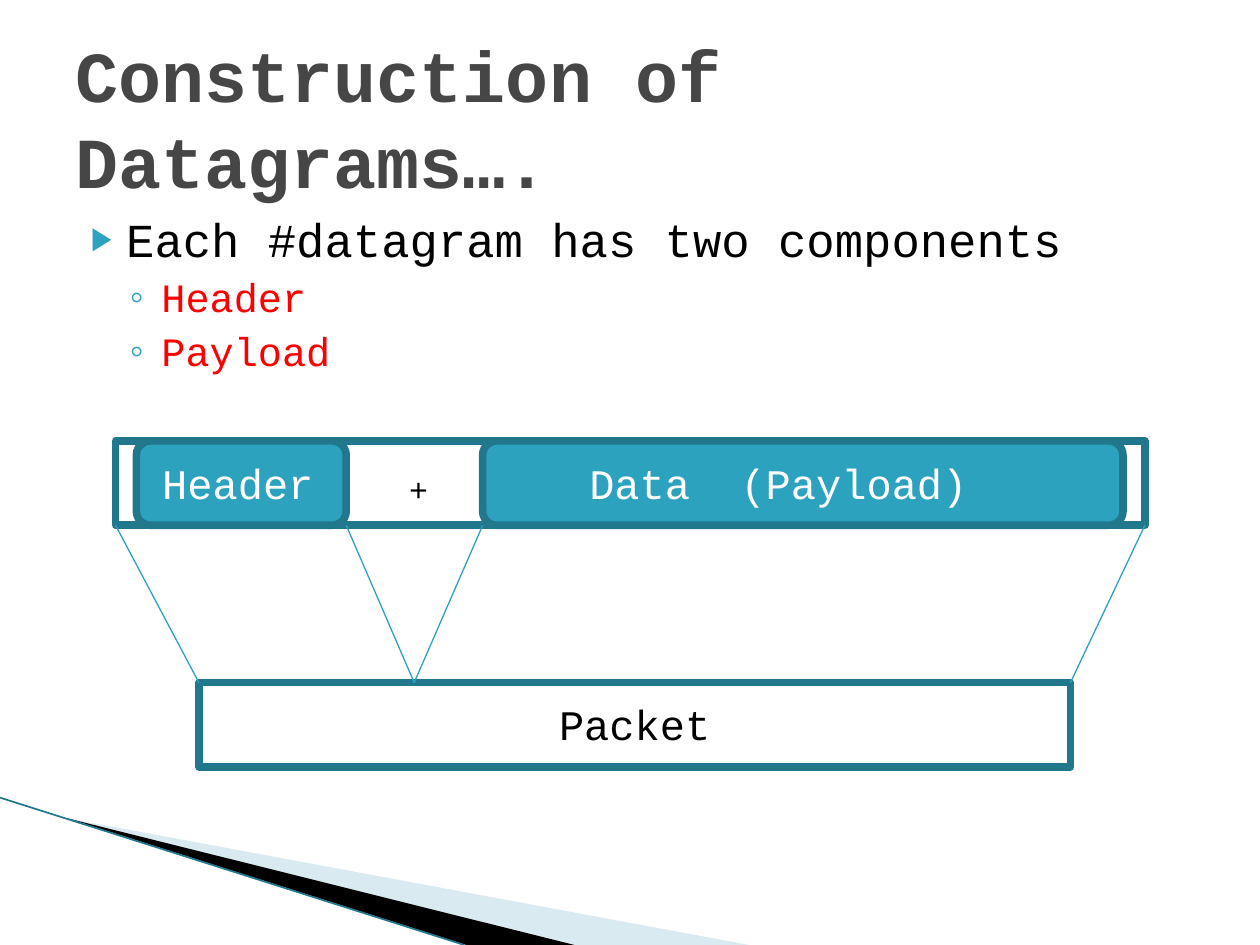
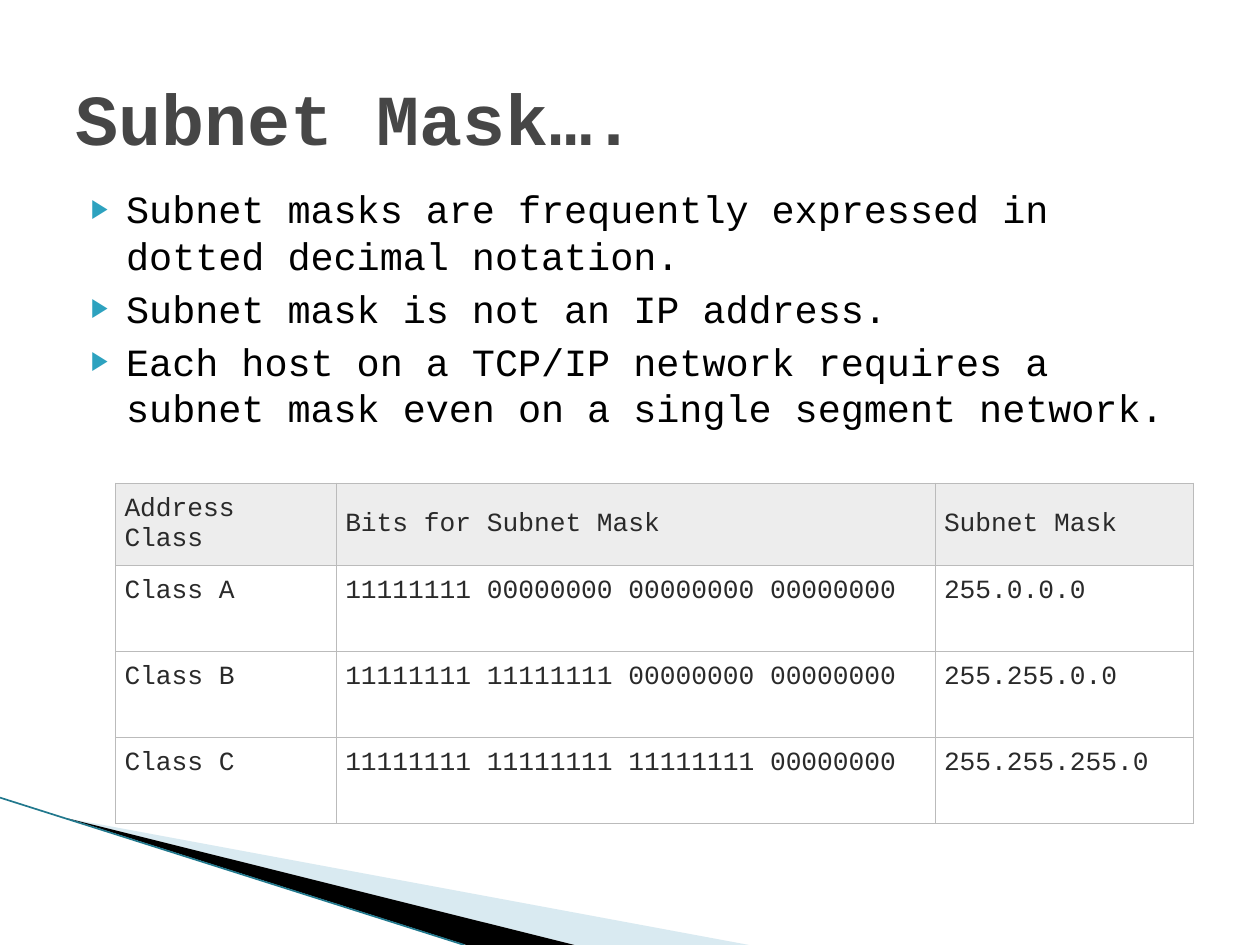
from pptx import Presentation
from pptx.dml.color import RGBColor
from pptx.enum.shapes import MSO_CONNECTOR, MSO_SHAPE
from pptx.enum.text import MSO_ANCHOR, MSO_AUTO_SIZE, PP_ALIGN
from pptx.oxml.ns import qn
from pptx.util import Cm, Pt
from lxml import etree

RECT, ROUND = MSO_SHAPE.RECTANGLE, MSO_SHAPE.ROUNDED_RECTANGLE
STRAIGHT = MSO_CONNECTOR.STRAIGHT
TOP, MIDDLE = MSO_ANCHOR.TOP, MSO_ANCHOR.MIDDLE
LEFT = PP_ALIGN.LEFT
NO_FIT = MSO_AUTO_SIZE.NONE

FONT = "Courier New"
ACCENT, EDGE, PALE = "2DA2BF", "21788D", "A0CBDC"
BLACK, WHITE, RED = "000000", "FFFFFF", "FF0000"
TITLE_GREY, CELL_TEXT, HEAD_FILL, GRID = "464646", "2A2A2A", "EDEDED", "BBBBBB"

SLIDE_W, SLIDE_H = 25.4, 19.05
TITLE_BOX = (1.27, 0.76, 22.86, 3.18)

# Bullet per level: symbol, size %, left margin, hanging indent (cm), space before (pt)
BULLETS = [("▶", 68, 1.02, -0.71, 4), ("◦", 100, 1.73, -0.64, 3.2)]


def rgb(value):
    return RGBColor.from_string(value)


def add_xml(parent, tag, **attrs):
    return etree.SubElement(parent, qn(tag), attrs)


def place(sp, box):
    sp.left, sp.top, sp.width, sp.height = map(Cm, box)


def style_text(p, size, color, bold=False):
    p.alignment = LEFT
    for r in p.runs:
        r.font.name, r.font.size, r.font.bold = FONT, Pt(size), bold
        r.font.color.rgb = rgb(color)


def add_line(slide, start, end, color, width=0.75):
    sp = slide.shapes.add_connector(STRAIGHT, *map(Cm, start + end))
    sp.line.color.rgb = rgb(color)
    sp.line.width = Pt(width)
    add_xml(sp._element.spPr, "a:effectLst")


def add_block(slide, shape, box, fill=None):
    sp = slide.shapes.add_shape(shape, *map(Cm, box))
    sp.shadow.inherit = False
    if fill:
        sp.fill.solid()
        sp.fill.fore_color.rgb = rgb(fill)
    else:
        sp.fill.background()
    sp.line.color.rgb = rgb(EDGE)
    sp.line.width = Pt(4.33)


def add_label(slide, box, text, size, color):
    tf = slide.shapes.add_textbox(*map(Cm, box)).text_frame
    tf.word_wrap = True
    tf.text = text
    style_text(tf.paragraphs[0], size, color)


def add_wedge(slide, points, color, alpha=None):
    points = [(Cm(x), Cm(y)) for x, y in points]
    builder = slide.shapes.build_freeform(*points[0])
    builder.add_line_segments(points[1:])
    sp = builder.convert_to_shape()
    sp.shadow.inherit = False
    sp.fill.solid()
    sp.fill.fore_color.rgb = rgb(color)
    sp.line.fill.background()
    if alpha:
        clr = sp._element.spPr.find(qn("a:solidFill"))[0]
        add_xml(clr, "a:alpha", val=str(alpha * 1000))


def corner_band(slide):
    """Wedges running from the left edge to the foot of the slide."""
    tip = (1.37, 16.5)
    add_wedge(slide, [tip, (15.1, SLIDE_H), (11.58, SLIDE_H)], PALE, 40)
    add_wedge(slide, [tip, (11.58, SLIDE_H), (9.4, SLIDE_H)], BLACK)
    add_line(slide, (0, 16.08), (9.36, SLIDE_H), EDGE, 0.95)


def set_title(slide, text):
    sp = slide.shapes.title
    place(sp, TITLE_BOX)
    tf = sp.text_frame
    tf.text = text
    tf.auto_size, tf.vertical_anchor = NO_FIT, MIDDLE
    style_text(tf.paragraphs[0], 41, TITLE_GREY, bold=True)


def set_bullet(p, level):
    symbol, size, margin, indent, before = BULLETS[level]
    p.level = level
    p.space_before = Pt(before)
    pPr = p._p.get_or_add_pPr()
    pPr.set("marL", str(Cm(margin)))
    pPr.set("indent", str(Cm(indent)))
    add_xml(add_xml(pPr, "a:buClr"), "a:srgbClr", val=ACCENT)
    add_xml(pPr, "a:buSzPct", val=str(size * 1000))
    add_xml(pPr, "a:buChar", char=symbol)


def set_body(slide, box, items):
    """items: (level, text, size, colour)"""
    sp = slide.placeholders[1]
    place(sp, box)
    tf = sp.text_frame
    tf.auto_size, tf.vertical_anchor = NO_FIT, TOP
    for i, (level, text, size, color) in enumerate(items):
        p = tf.add_paragraph() if i else tf.paragraphs[0]
        p.text = text
        style_text(p, size, color)
        set_bullet(p, level)


def new_slide(prs, title, body_box, items):
    slide = prs.slides.add_slide(prs.slide_layouts[1])
    corner_band(slide)
    set_title(slide, title)
    set_body(slide, body_box, items)
    return slide


def datagram_diagram(slide, x, y, w, h):
    bar_h = 1.7
    foot = y + bar_h
    packet_y = y + h - bar_h
    packet_x, packet_w = x + 1.68, 17.57
    header_x, header_w = x + 0.42, 4.23
    data_x, data_w = x + 7.4, 12.91

    # Frames
    add_block(slide, RECT, (x, y, w, bar_h))
    add_block(slide, ROUND, (header_x, y, header_w, bar_h), ACCENT)
    add_block(slide, ROUND, (data_x, y, data_w, bar_h), ACCENT)
    add_block(slide, RECT, (packet_x, packet_y, packet_w, bar_h))

    # Labels
    add_label(slide, (x + 0.69, y + 0.2, 3.96, 1.27), "Header", 24, WHITE)
    add_label(slide, (x + 5.67, y + 0.46, 1.1, 1.02), "+", 18, BLACK)
    add_label(slide, (x + 9.3, y + 0.2, 9.53, 1.27), "Data  (Payload)", 24, WHITE)
    add_label(slide, (x + 8.69, packet_y + 0.2, 5.49, 1.27), "Packet", 24, BLACK)

    # Lines from the parts down to the packet
    split = x + 6.02
    for upper, lower in [(x, packet_x), (header_x + header_w, split),
                         (data_x, split), (x + w, packet_x + packet_w)]:
        add_line(slide, (upper, foot), (lower, packet_y), ACCENT)


def set_borders(cell):
    tcPr = cell._tc.get_or_add_tcPr()
    for i, side in enumerate(("a:lnL", "a:lnR", "a:lnT", "a:lnB")):
        ln = add_xml(tcPr, side, w=str(Pt(0.75)))
        add_xml(add_xml(ln, "a:solidFill"), "a:srgbClr", val=GRID)
        tcPr.insert(i, ln)


def mask_table(slide, x, y, col_widths, row_heights, rows):
    frame = slide.shapes.add_table(len(rows), len(col_widths), Cm(x), Cm(y),
                                   Cm(sum(col_widths)), Cm(sum(row_heights)))
    table = frame.table
    table.first_row = table.horz_banding = False
    for col, width in zip(table.columns, col_widths):
        col.width = Cm(width)
    for r, (values, height) in enumerate(zip(rows, row_heights)):
        table.rows[r].height = Cm(height)
        for c, value in enumerate(values):
            cell = table.cell(r, c)
            cell.text = value
            style_text(cell.text_frame.paragraphs[0], 15, CELL_TEXT)
            cell.margin_left = cell.margin_right = Cm(0.18)
            cell.margin_top = cell.margin_bottom = Cm(0.23)
            if r == 0:
                cell.vertical_anchor = MIDDLE
                cell.fill.solid()
                cell.fill.fore_color.rgb = rgb(HEAD_FILL)
            else:
                cell.fill.background()
            set_borders(cell)


def datagram_slide(prs):
    slide = new_slide(prs, "Construction of Datagrams….", (1.27, 4.11, 22.86, 12.57), [
        (0, "Each #datagram has two components", 27, BLACK),
        (1, "Header", 23, RED),
        (1, "Payload", 23, RED),
    ])
    datagram_diagram(slide, 2.33, 8.89, 20.75, 6.57)


def subnet_slide(prs):
    points = [
        "Subnet masks are frequently expressed in dotted decimal notation.",
        "Subnet mask is not an IP address.",
        "Each host on a TCP/IP network requires a subnet mask even on a single segment network.",
    ]
    slide = new_slide(prs, "Subnet Mask….", (1.27, 3.61, 22.86, 12.57),
                      [(0, text, 22, BLACK) for text in points])
    mask_table(slide, 2.33, 9.74, [4.45, 12.07, 5.21], [1.64] + [1.73] * 3, [
        ("Address Class", "Bits for Subnet Mask", "Subnet Mask"),
        ("Class A", "11111111 00000000 00000000 00000000", "255.0.0.0"),
        ("Class B", "11111111 11111111 00000000 00000000", "255.255.0.0"),
        ("Class C", "11111111 11111111 11111111 00000000", "255.255.255.0"),
    ])


def main():
    prs = Presentation()
    prs.slide_width, prs.slide_height = Cm(SLIDE_W), Cm(SLIDE_H)
    datagram_slide(prs)
    subnet_slide(prs)
    prs.save("out.pptx")


if __name__ == "__main__":
    main()
